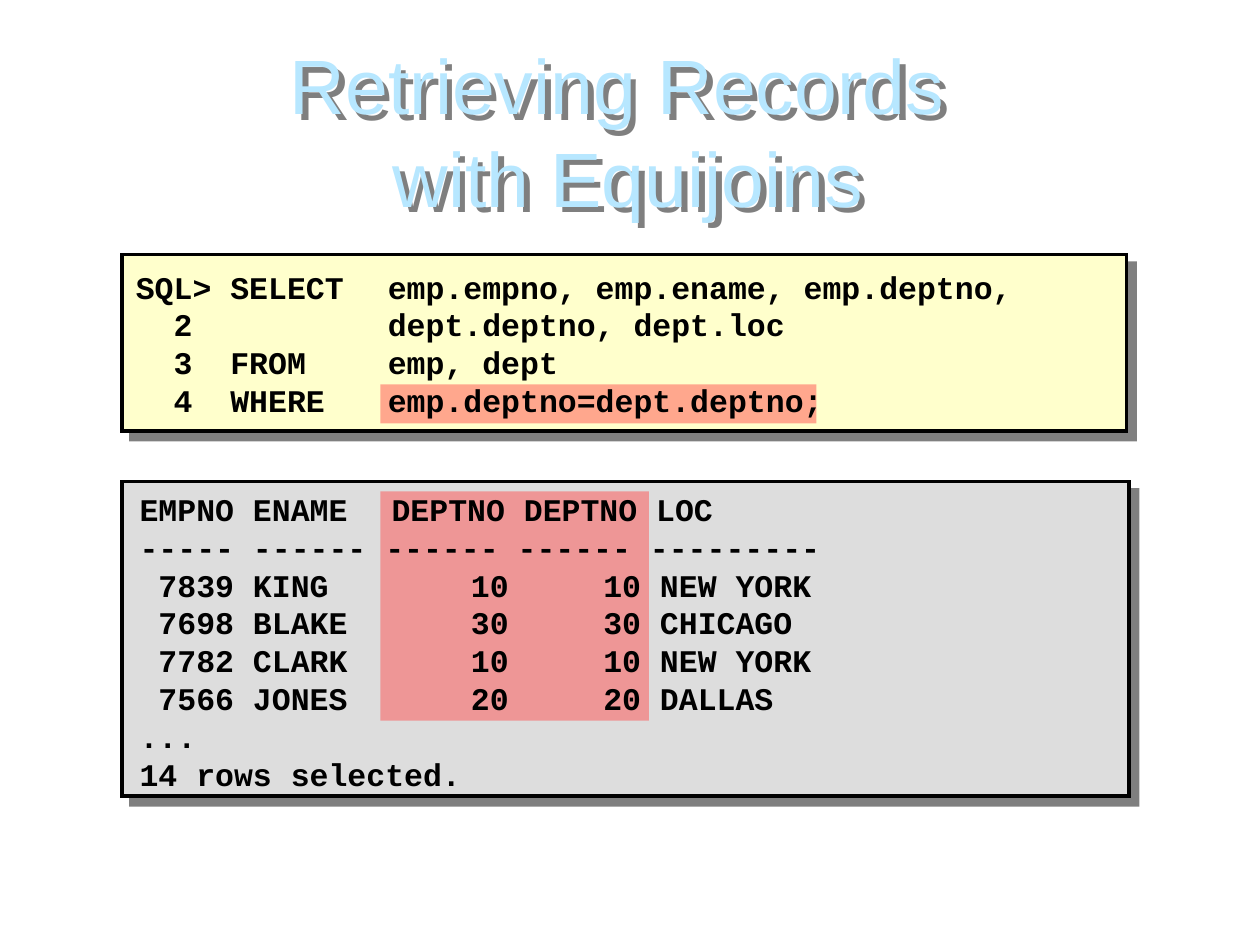
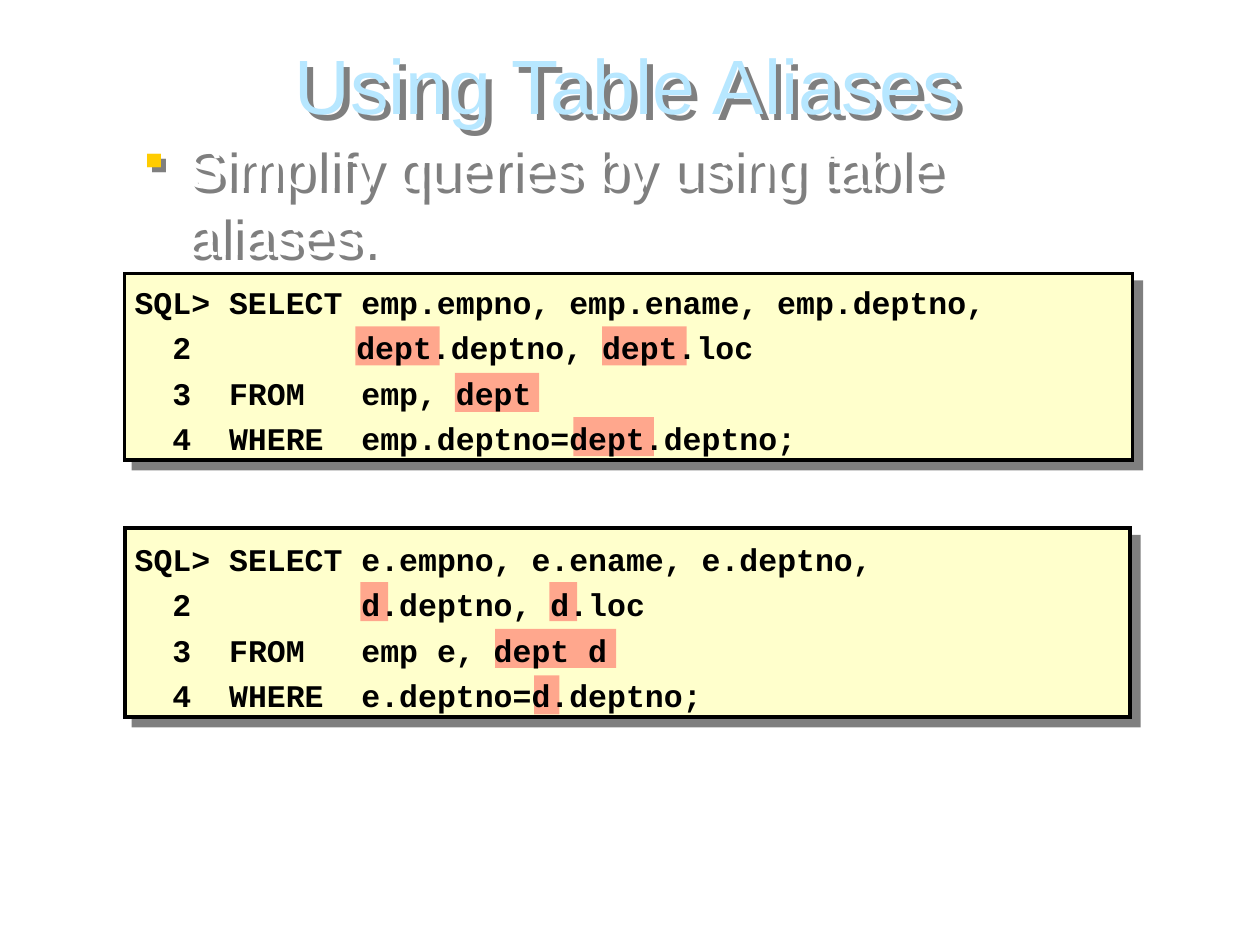
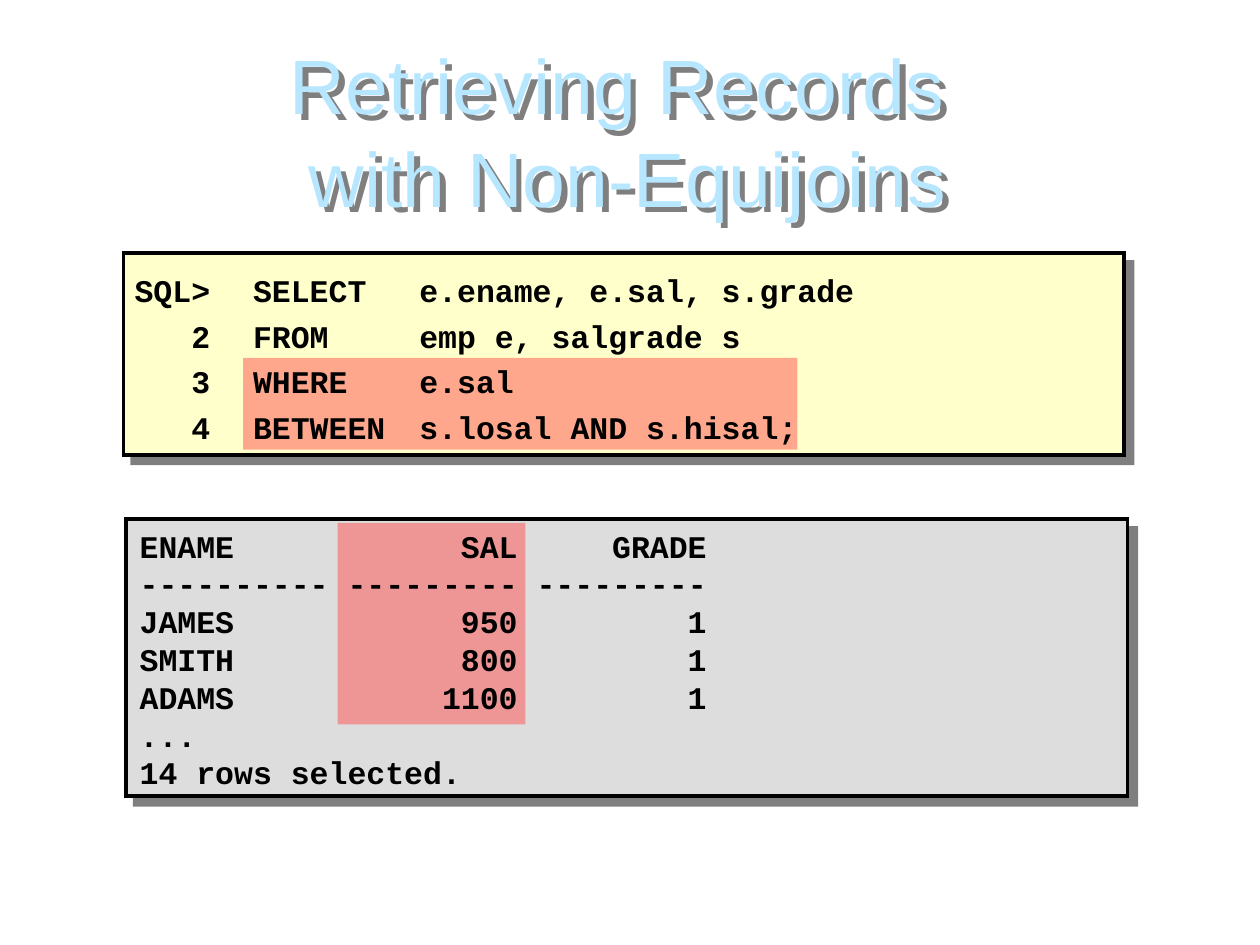
"""Build three slides on SQL joins and table aliases."""
from lxml import etree
from pptx import Presentation
from pptx.dml.color import RGBColor
from pptx.enum.shapes import MSO_SHAPE
from pptx.enum.text import MSO_ANCHOR, PP_ALIGN
from pptx.oxml import parse_xml
from pptx.oxml.ns import nsdecls, qn
from pptx.util import Inches, Pt

RECT = MSO_SHAPE.RECTANGLE
TOP, MIDDLE = MSO_ANCHOR.TOP, MSO_ANCHOR.MIDDLE
LEFT, CENTER = PP_ALIGN.LEFT, PP_ALIGN.CENTER
BLACK = RGBColor(0, 0, 0)
WHITE = RGBColor(255, 255, 255)
SKY = RGBColor(0xB7, 0xE7, 0xFF)
CREAM = RGBColor(0xFF, 0xFF, 0xCC)
GREY = RGBColor(0xDD, 0xDD, 0xDD)
RED = RGBColor(0xFF, 0x50, 0x50)
SANS, MONO = "Arial", "Courier New"


def cast(shape, dist):
    """Give a shape a soft black shadow to its lower right."""
    shape.shadow.inherit = False
    shape._element.spPr.find(qn("a:effectLst")).append(parse_xml(
        f'<a:outerShdw {nsdecls("a")} dist="{Pt(dist)}" dir="2700000" algn="ctr" rotWithShape="0">'
        '<a:srgbClr val="000000"><a:alpha val="50000"/></a:srgbClr></a:outerShdw>'))


def write(slide, at, lines, name, size, color, bold=False, align=LEFT, anchor=TOP, space=1.0, stops=()):
    """Add a text box with one paragraph a line and (inches, side) tab stops."""
    box = slide.shapes.add_textbox(*map(Inches, at))
    frame = box.text_frame
    frame.word_wrap = True
    frame.vertical_anchor = anchor
    frame.text = "\n".join(lines)
    for para in frame.paragraphs:
        para.alignment = align
        para.line_spacing = space
        font = para.font
        font.name, font.size, font.bold = name, Pt(size), bold
        font.color.rgb = color
        if stops:
            tabs = etree.Element(qn("a:tabLst"))
            for pos, side in stops:
                etree.SubElement(tabs, qn("a:tab"), pos=str(Inches(pos)), algn=side)
            para._p.pPr.find(qn("a:defRPr")).addprevious(tabs)
    return box


JOIN = dict(
    title="Retrieving Records \vwith Equijoins", high=1.45,
    panels=[((0.97, 2.02, 7.97, 1.4), CREAM), ((0.97, 3.82, 7.99, 2.5), GREY)],
    marks=[(3.02, 3.05, 3.46, 0.31), (3.02, 3.9, 2.13, 1.82)],
    texts=[
        ((0.98, 2.01, 8, 1.43), MIDDLE, 1.0, [(0.3, "l"), (0.75, "l"), (2, "l")], [
            "SQL>\tSELECT\temp.empno, emp.ename, emp.deptno,",
            "\t2\t\tdept.deptno, dept.loc",
            "\t3\tFROM\temp, dept",
            "\t4\tWHERE\temp.deptno=dept.deptno;"]),
        ((1.01, 3.84, 7.96, 2.5), TOP, 1.0,
         [(0.15, "l"), (0.9, "l"), (2, "l"), (2.63, "l"), (3.68, "l")], [
            "EMPNO ENAME\tDEPTNO DEPTNO LOC",
            "----- ------ ------ ------ ---------",
            "\t7839\tKING\t\t10\t10 NEW YORK",
            "\t7698\tBLAKE\t\t30\t30 CHICAGO",
            "\t7782\tCLARK\t\t10\t10 NEW YORK",
            "\t7566\tJONES\t\t20\t20 DALLAS",
            "...",
            "14 rows selected."])])

ALIAS = dict(
    title="Using Table Aliases", high=0.83,
    panels=[((0.99, 2.17, 8, 1.48), CREAM), ((0.99, 4.19, 7.98, 1.5), CREAM)],
    marks=[(x, y, w, 0.31) for x, y, w in [
        (2.86, 4.62, 0.22), (4.36, 4.62, 0.22), (3.93, 4.99, 0.96), (4.24, 5.36, 0.2),
        (2.82, 2.59, 0.67), (4.78, 2.59, 0.67), (3.61, 2.96, 0.67), (4.55, 3.31, 0.64)]],
    texts=[
        ((0.97, 2.15, 8.03, 1.51), MIDDLE, 1.2,
         [(0.3, "l"), (0.75, "l"), (1.76, "l"), (1.8, "l")], [
            "SQL>\tSELECT emp.empno, emp.ename, emp.deptno,",
            "\t2\t\tdept.deptno, dept.loc",
            "\t3\tFROM\t\temp, dept",
            "\t4\tWHERE\t\temp.deptno=dept.deptno;"]),
        ((0.97, 4.18, 8.01, 1.53), MIDDLE, 1.2, [(0.3, "l"), (0.75, "l"), (1.8, "l")], [
            "SQL>\tSELECT\te.empno, e.ename, e.deptno,",
            "\t2\t\td.deptno, d.loc",
            "\t3\tFROM\temp e, dept d",
            "\t4\tWHERE\te.deptno=d.deptno;"])])

RANGE = dict(
    title="Retrieving Records \vwith Non-Equijoins", high=1.45,
    panels=[((0.98, 2.01, 7.94, 1.6), CREAM), ((1, 4.12, 7.95, 2.2), GREY)],
    marks=[(1.93, 2.84, 4.4, 0.73), (2.68, 4.15, 1.49, 1.6)],
    texts=[
        ((1.01, 4.13, 7.92, 2.2), TOP, 1.0, [(3, "r"), (4.5, "r")], [
            "ENAME\tSAL\tGRADE",
            "---------- --------- ---------",
            "JAMES\t950\t1",
            "SMITH\t800\t1",
            "ADAMS\t1100\t1",
            "...",
            "14 rows selected."]),
        ((0.97, 2, 7.97, 1.63), MIDDLE, 1.2, [(0.45, "l"), (0.94, "l"), (2.26, "l")], [
            "SQL>\tSELECT\te.ename, e.sal, s.grade",
            "\t2\tFROM\temp e, salgrade s",
            "\t3\tWHERE\te.sal",
            "\t4\tBETWEEN\ts.losal AND s.hisal;"])])

deck = Presentation()
deck.slide_width, deck.slide_height = Inches(10), Inches(7.5)

for page in (JOIN, ALIAS, RANGE):
    slide = deck.slides.add_slide(deck.slide_layouts[6])
    for at, color in page["panels"]:
        panel = slide.shapes.add_shape(RECT, *map(Inches, at))
        panel.fill.solid()
        panel.fill.fore_color.rgb = color
        panel.line.color.rgb = BLACK
        panel.line.width = Pt(2)
        etree.SubElement(panel._element.spPr.find(qn("a:ln")), qn("a:miter"), lim="800000")
        cast(panel, 7.1)
    title = write(slide, (0.33, 0.25, 9.31, page["high"]), [page["title"]], SANS, 44, SKY, align=CENTER)
    cast(title, 4.5)
    if page is ALIAS:
        body = write(slide, (1, 1, 8.08, 1.17), ["Simplify queries by using table aliases."], SANS, 32, WHITE)
        cast(body, 4)
        para = body.text_frame.paragraphs[0]
        para.space_before = Pt(8)
        props = para._p.pPr
        props.set("marL", str(Inches(0.38)))
        props.set("indent", str(Inches(-0.38)))
        for tag in (f'<a:buClr {nsdecls("a")}><a:srgbClr val="FFCC00"/></a:buClr>',
                    f'<a:buSzPct {nsdecls("a")} val="75000"/>',
                    f'<a:buChar {nsdecls("a")} char="▪"/>'):
            props.find(qn("a:defRPr")).addprevious(parse_xml(tag))
    for at in page["marks"]:
        mark = slide.shapes.add_shape(RECT, *map(Inches, at))
        mark.shadow.inherit = False
        mark.fill.solid()
        mark.fill.fore_color.rgb = RED
        mark.line.fill.background()
        tint = mark._element.spPr.find(qn("a:solidFill")).find(qn("a:srgbClr"))
        etree.SubElement(tint, qn("a:alpha"), val="50000")
    for at, anchor, space, stops, lines in page["texts"]:
        write(slide, at, lines, MONO, 18, BLACK, bold=True, anchor=anchor, space=space, stops=stops)

deck.save("out.pptx")
